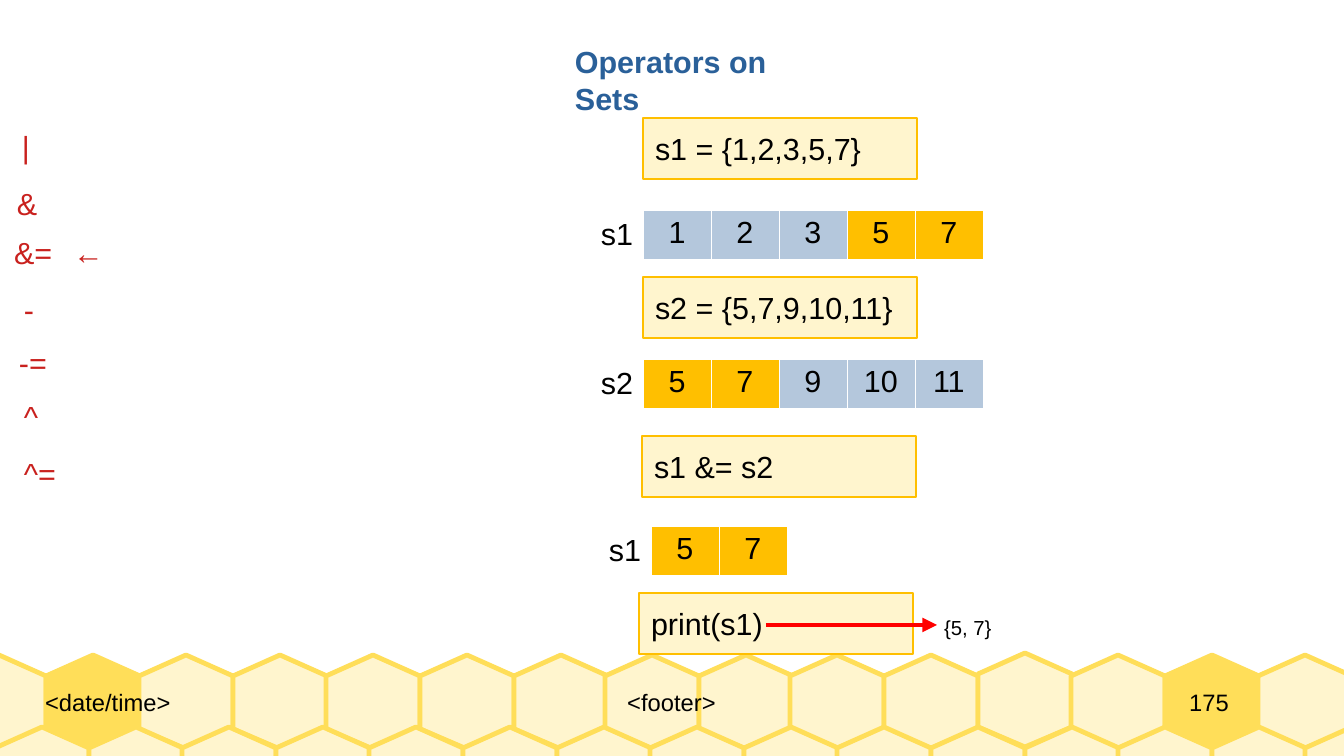
from lxml import etree
from pptx import Presentation, util as u
from pptx.dml.color import RGBColor
from pptx.enum import shapes, text
from pptx.oxml import ns, xmlchemy

PX = 7495  # EMU in one px
WIDTH, HEIGHT = 1344, 756

BLACK = RGBColor(0x00, 0x00, 0x00)
WHITE = RGBColor(0xFF, 0xFF, 0xFF)
BLUE = RGBColor(0x2A, 0x60, 0x99)
CRIMSON = RGBColor(0xC9, 0x21, 0x1E)
RED = RGBColor(0xFF, 0x00, 0x00)
CREAM = RGBColor(0xFF, 0xF5, 0xCE)
HONEY = RGBColor(0xFF, 0xDE, 0x59)
AMBER = RGBColor(0xFF, 0xBF, 0x00)
STEEL = RGBColor(0xB4, 0xC7, 0xDC)

BODY = {"name": "Arial", "size": u.Pt(18), "bold": False}
TITLE = {**BODY, "bold": True}
FOOTER = {**BODY, "size": u.Pt(14)}
RESULT = {**BODY, "size": u.Pt(12)}

LABEL_FRAME = {"word_wrap": False, "auto_size": text.MSO_AUTO_SIZE.SHAPE_TO_FIT_TEXT}
OPERATOR_FRAME = {**LABEL_FRAME, "word_wrap": True}
CODE_FRAME = {"word_wrap": False, "vertical_anchor": text.MSO_ANCHOR.MIDDLE}
FOOTER_FRAME = {
    "word_wrap": True, "vertical_anchor": text.MSO_ANCHOR.MIDDLE,
    "margin_left": 0, "margin_top": 0, "margin_right": 0, "margin_bottom": 0,
}

SHARED = {5, 7}
CELL_WIDTH, CELL_HEIGHT = 68, 46


def px(*lengths):
    return [round(length * PX) for length in lengths]


def apply(target, values):
    """Set every attribute named in a dict of format values."""
    for name, value in values.items():
        setattr(target, name, value)


def paint(shape, fill, line, width):
    shape.shadow.inherit = False
    shape.fill.solid()
    shape.fill.fore_color.rgb = fill
    shape.line.color.rgb = line
    shape.line.width = u.Pt(width)


def write(frame, words, font=BODY, color=BLACK, align=text.PP_ALIGN.LEFT):
    paragraph = frame.paragraphs[0]
    paragraph.alignment = align
    run = paragraph.add_run()
    run.text = words
    apply(run.font, font)
    run.font.color.rgb = color
    return paragraph


def add_text(slide, box, words, frame_format=LABEL_FRAME, **style):
    frame = slide.shapes.add_textbox(*px(*box)).text_frame
    apply(frame, frame_format)
    return write(frame, words, **style)


def add_tab_stop(paragraph, position):
    tabs = etree.SubElement(paragraph._p.get_or_add_pPr(), ns.qn("a:tabLst"))
    etree.SubElement(tabs, ns.qn("a:tab"), pos=str(position * PX), algn="l")


def add_hexagon(slide, left, top, fill):
    outline = [(47, 0), (0, 21), (0, 74), (47, 94), (94, 74), (94, 21)]
    points = [(left + x, top + y) for x, y in outline]
    builder = slide.shapes.build_freeform(*points[0], scale=PX)
    builder.add_line_segments(points[1:], close=True)
    paint(builder.convert_to_shape(), fill, HONEY, 2.83)


def add_honeycomb(slide):
    pitch = 93.6
    for column in range(15):
        overlap = 2 * (column >= 7) + 2 * (column >= 9)
        top = 653 if column == 11 else 655
        fill = HONEY if column in (1, 13) else CREAM
        add_hexagon(slide, -48 + column * pitch - overlap, top, fill)
    for column in range(15):
        add_hexagon(slide, -5 + column * pitch, 727, CREAM)


def add_code(slide, left, top, words):
    shape = slide.shapes.add_shape(shapes.MSO_SHAPE.RECTANGLE, *px(left, top, 274, 61))
    paint(shape, CREAM, AMBER, 1.42)
    apply(shape.text_frame, CODE_FRAME)
    write(shape.text_frame, words)


def add_cell_borders(cell):
    properties = cell._tc.get_or_add_tcPr()
    for position, side in enumerate(("lnL", "lnR", "lnT", "lnB")):
        border = xmlchemy.OxmlElement(f"a:{side}")
        border.set("w", "762")
        solid = etree.SubElement(border, ns.qn("a:solidFill"))
        etree.SubElement(solid, ns.qn("a:srgbClr"), val=str(WHITE))
        properties.insert(position, border)


def add_set(slide, left, top, name, members):
    """Draw a set as a one-row table, with its name to the left."""
    box = px(left, top, CELL_WIDTH * len(members), CELL_HEIGHT)
    table = slide.shapes.add_table(1, len(members), *box).table
    apply(table, {"first_row": False, "horz_banding": False})
    for column, member in enumerate(members):
        cell = table.cell(0, column)
        cell.fill.solid()
        cell.fill.fore_color.rgb = AMBER if member in SHARED else STEEL
        add_cell_borders(cell)
        write(cell.text_frame, str(member), align=text.PP_ALIGN.CENTER)
    add_text(slide, (left - 54, top - 1, 61, 46), name)


def add_arrow(slide, start, end):
    arrow = slide.shapes.add_connector(shapes.MSO_CONNECTOR.STRAIGHT, *px(*start, *end))
    arrow.line.color.rgb = RED
    arrow.line.width = u.Pt(2.89)
    etree.SubElement(arrow.line._get_or_add_ln(), ns.qn("a:tailEnd"), type="triangle")
    etree.SubElement(arrow._element.spPr, ns.qn("a:effectLst"))


def main():
    presentation = Presentation()
    presentation.slide_width, presentation.slide_height = px(WIDTH, HEIGHT)
    slide = presentation.slides.add_slide(presentation.slide_layouts[6])

    add_honeycomb(slide)
    for left, width, words, align in (
        (45, 321, "<date/time>", text.PP_ALIGN.LEFT),
        (366, 611, "<footer>", text.PP_ALIGN.CENTER),
        (1133, 152, "175", text.PP_ALIGN.CENTER),
    ):
        add_text(slide, (left, 655, width, 94), words, FOOTER_FRAME, font=FOOTER, align=align)

    add_text(slide, (563, 37, 288, 46), "Operators on Sets", font=TITLE, color=BLUE)

    add_text(slide, (10, 122, 49, 46), "|", color=CRIMSON)
    for left, top, operator in (
        (5, 179, "&"), (12, 285, "-"), (7, 338, "-="), (12, 392, "^"), (12, 449, "^="),
    ):
        add_text(slide, (left, top, 78, 46), operator, OPERATOR_FRAME, color=CRIMSON)
    current = add_text(slide, (2, 228, 150, 57), "&=\t←", OPERATOR_FRAME, color=CRIMSON)
    add_tab_stop(current, 59)

    for left, top, code in (
        (643, 118, "s1 = {1,2,3,5,7}"),
        (643, 277, "s2 = {5,7,9,10,11}"),
        (642, 436, "s1 &= s2"),
        (639, 593, "print(s1)"),
    ):
        add_code(slide, left, top, code)

    for left, top, name, members in (
        (643, 210, "s1", (1, 2, 3, 5, 7)),
        (643, 359, "s2", (5, 7, 9, 10, 11)),
        (651, 526, "s1", (5, 7)),
    ):
        add_set(slide, left, top, name, members)

    add_text(slide, (932, 609, 72, 35), "{5, 7}", font=RESULT)
    add_arrow(slide, (766, 625), (937, 625))

    presentation.save("out.pptx")


if __name__ == "__main__":
    main()
